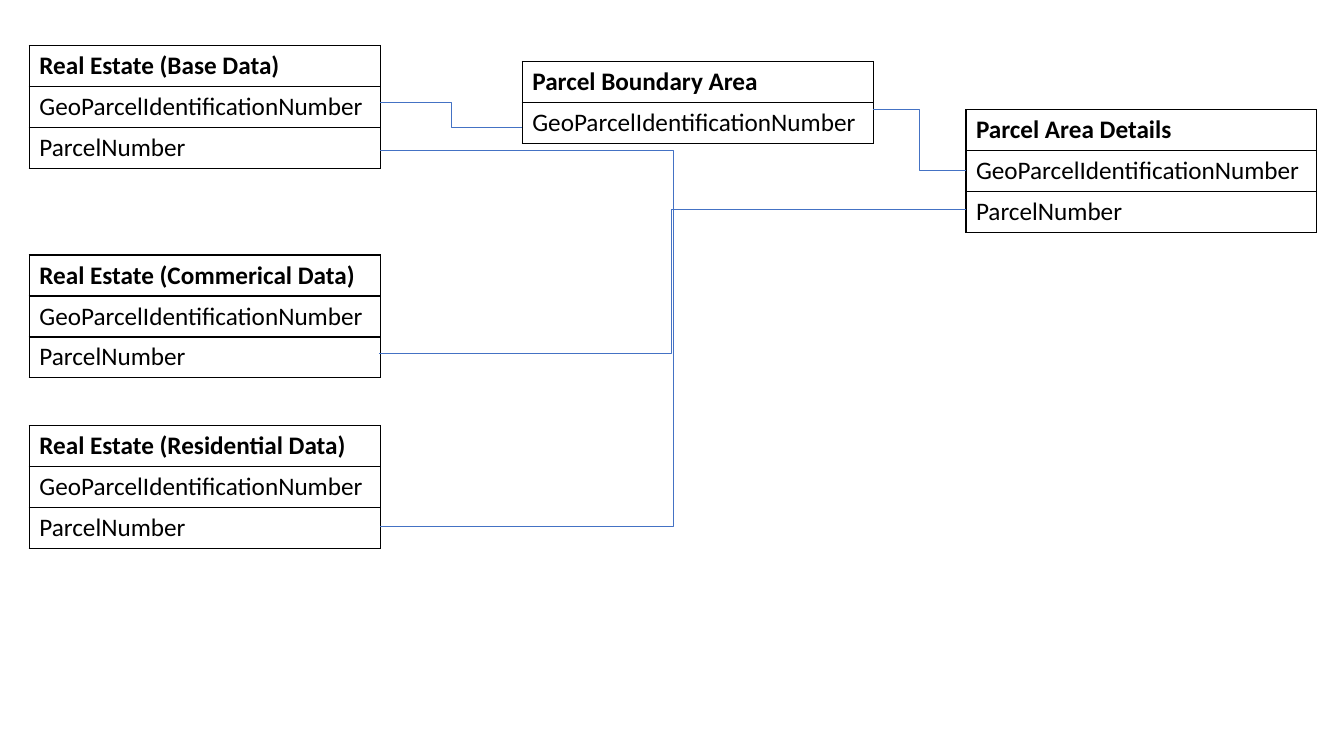
from lxml import etree
from pptx import Presentation, util as u
from pptx.dml.color import RGBColor
from pptx.enum import shapes, text
from pptx.oxml.ns import qn

THEME = {
    "font": "Calibri",
    "size": u.Pt(18),
    "ink": "000000",
    "paper": "FFFFFF",
    "link": "4472C4",
    "border": u.Pt(1),
    "link_width": u.Pt(0.5),
}

prs = Presentation()
prs.slide_width, prs.slide_height = u.Inches(13.33), u.Inches(7.5)
s = prs.slides.add_slide(prs.slide_layouts[6])

share_x, share_y = prs.slide_width / 100, prs.slide_height / 100
col_w, row_h = 26.11 * share_x, 5.42 * share_y

GEO, PARCEL = "GeoParcelIdentificationNumber", "ParcelNumber"
tables = {
    "boundary": (38.86, 8.13, ["Parcel Boundary Area", GEO]),
    "details": (71.87, 14.53, ["Parcel Area Details", GEO, PARCEL]),
    "base": (2.18, 6, ["Real Estate (Base Data)", GEO, PARCEL]),
    "commercial": (2.18, 33.73, ["Real Estate (Commerical Data)", GEO, PARCEL]),
    "residential": (2.18, 56.27, ["Real Estate (Residential Data)", GEO, PARCEL]),
}
links = [
    ("boundary", 1.18, "details", 1.48, 0),
    ("base", 1.38, "boundary", 1.62, 0),
    ("base", 2.56, "details", 2.43, 0),
    ("commercial", 2.41, "details", 2.43, -0.1),
    ("residential", 2.46, "details", 2.43, 0),
]


def add_borders(cell):
    tc_pr = cell._tc.get_or_add_tcPr()
    for i, side in enumerate(("lnL", "lnR", "lnT", "lnB")):
        ln = etree.Element(qn(f"a:{side}"), w=str(THEME["border"]))
        fill = etree.SubElement(ln, qn("a:solidFill"))
        etree.SubElement(fill, qn("a:srgbClr"), val=THEME["ink"])
        tc_pr.insert(i, ln)


for x, y, labels in tables.values():
    frame = s.shapes.add_table(
        len(labels), 1, int(x * share_x), int(y * share_y),
        int(col_w), int(row_h * len(labels)))
    for i, label in enumerate(labels):
        cell = frame.table.cell(i, 0)
        cell.fill.solid()
        cell.fill.fore_color.rgb = RGBColor.from_string(THEME["paper"])
        cell.vertical_anchor = text.MSO_ANCHOR.TOP
        add_borders(cell)
        p = cell.text_frame.paragraphs[0]
        p.text = label
        p.font.name, p.font.size = THEME["font"], THEME["size"]
        p.font.bold = i == 0
        p.font.color.rgb = RGBColor.from_string(THEME["ink"])

for start, start_row, end, end_row, shift in links:
    x1, y1, _ = tables[start]
    x2, y2, _ = tables[end]
    link = s.shapes.add_connector(
        shapes.MSO_CONNECTOR.ELBOW,
        int((x1 + shift) * share_x + col_w), int(y1 * share_y + start_row * row_h),
        int((x2 + shift) * share_x), int(y2 * share_y + end_row * row_h))
    link.line.color.rgb = RGBColor.from_string(THEME["link"])
    link.line.width = THEME["link_width"]
    etree.SubElement(link._element.spPr, qn("a:effectLst"))

prs.save("out.pptx")
